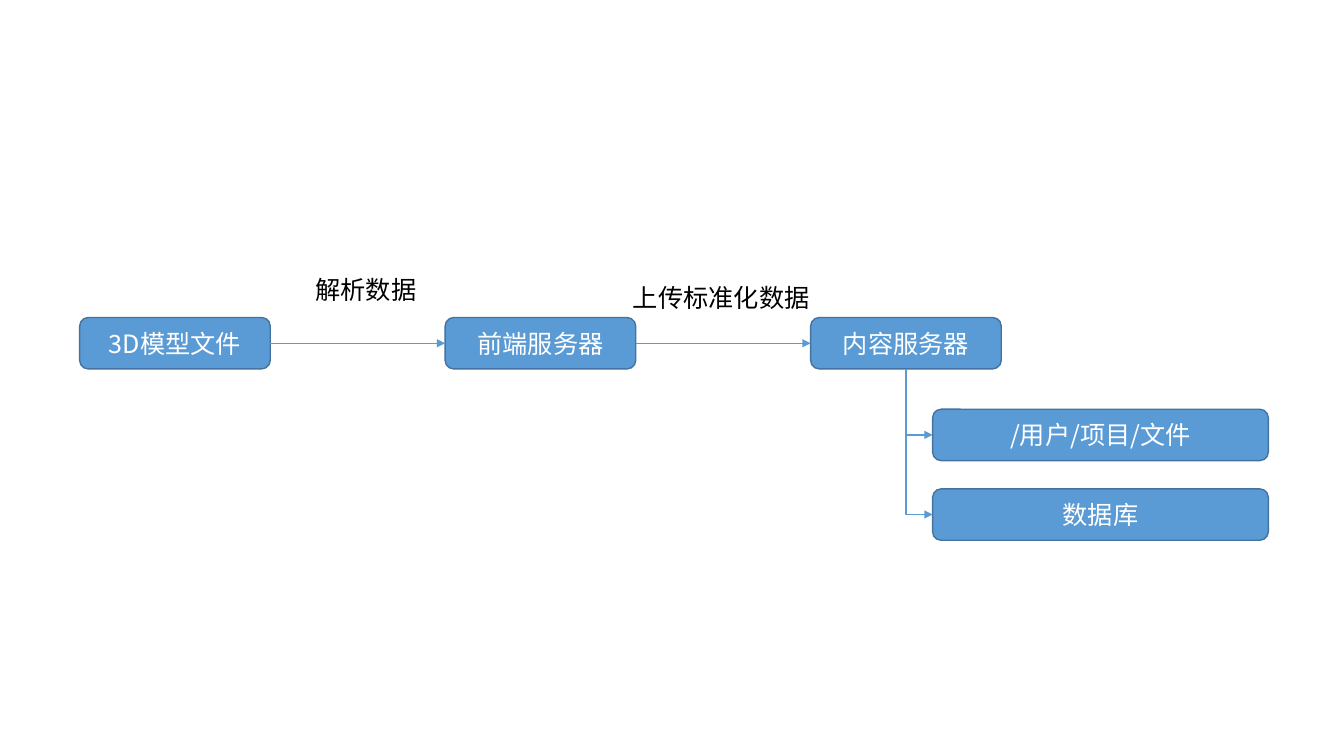
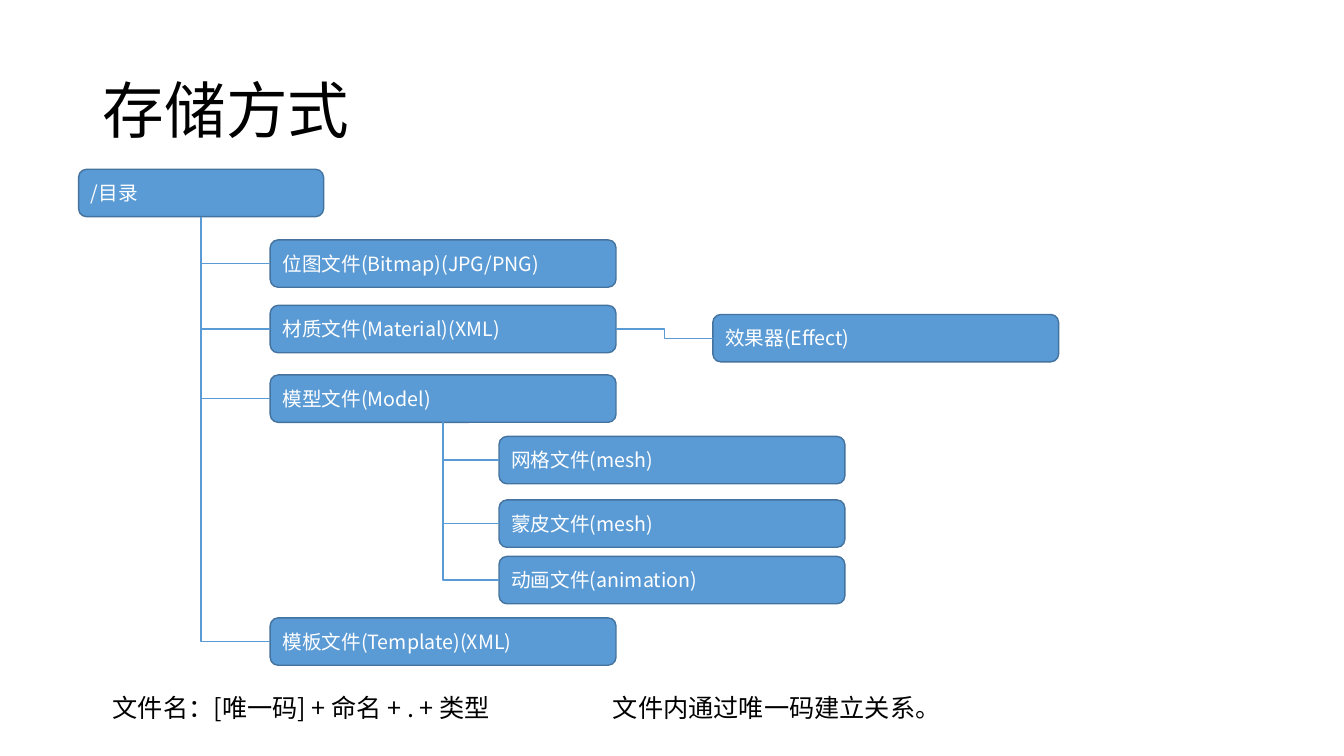
"""Two slides: a model upload flow and the storage layout behind it."""
from lxml import etree
from pptx import Presentation
from pptx.dml.color import RGBColor
from pptx.enum.shapes import MSO_CONNECTOR, MSO_SHAPE
from pptx.enum.text import MSO_ANCHOR, MSO_AUTO_SIZE, PP_ALIGN
from pptx.oxml.ns import qn
from pptx.util import Inches, Pt

STRAIGHT, ELBOW = MSO_CONNECTOR.STRAIGHT, MSO_CONNECTOR.ELBOW
ROUNDED = MSO_SHAPE.ROUNDED_RECTANGLE
LEFT, CENTER = PP_ALIGN.LEFT, PP_ALIGN.CENTER
MIDDLE = MSO_ANCHOR.MIDDLE
NO_FIT, GROW = MSO_AUTO_SIZE.NONE, MSO_AUTO_SIZE.SHAPE_TO_FIT_TEXT

COLORS = {"box": "5B9BD5", "edge": "43739E", "link": "5B9BD5",
          "light": "FFFFFF", "dark": "000000"}
FONT = "Noto Sans CJK SC"
SLIDE_W, SLIDE_H = 13.33, 7.5
TITLE_ONLY, BLANK = 5, 6
SITE_LEFT, SITE_BOTTOM, SITE_RIGHT = 1, 2, 3

# Upload flow grid
FLOW_X, FLOW_Y, FLOW_STEP, FLOW_W, FLOW_H = 0.79, 3.15, 3.625, 1.89, 0.51
STORE_X, STORE_Y, STORE_STEP, STORE_W = 9.25, 4.06, 0.79, 3.33

# Storage tree grid: one column per level
TREE_COLUMNS = (0.78, 2.68, 4.95, 7.07)
ROOT_W, NODE_W, NODE_H = 2.43, 3.43, 0.47
NOTE_Y, NOTE_H = 6.82, 0.4


def rgb(name):
    """Look up a palette colour."""
    return RGBColor.from_string(COLORS[name])


def write(tf, text, size, color, align=LEFT):
    """Put one formatted paragraph into a text frame."""
    p = tf.paragraphs[0]
    p.text = text
    p.alignment = align
    p.font.size = Pt(size)
    p.font.color.rgb = rgb(color)
    p.font.name = FONT
    latin = p._p.pPr.find(qn("a:defRPr")).find(qn("a:latin"))
    east_asian = etree.Element(qn("a:ea"), typeface=FONT)
    latin.addnext(east_asian)
    return p


def add_box(slide, text, x, y, w, h, size, align=LEFT):
    """Add a rounded, filled box with its label."""
    sp = slide.shapes.add_shape(ROUNDED, Inches(x), Inches(y), Inches(w), Inches(h))
    sp.shadow.inherit = False
    sp.fill.solid()
    sp.fill.fore_color.rgb = rgb("box")
    sp.line.color.rgb = rgb("edge")
    sp.line.width = Pt(1)
    sp.text_frame.vertical_anchor = MIDDLE
    write(sp.text_frame, text, size, "light", align)
    return sp


def add_label(slide, text, x, y, w, wrap=False):
    """Add a plain text label."""
    sp = slide.shapes.add_textbox(Inches(x), Inches(y), Inches(w), Inches(NOTE_H))
    sp.text_frame.word_wrap = wrap
    sp.text_frame.auto_size = GROW
    write(sp.text_frame, text, 18, "dark")


def add_title(slide, text):
    """Fill and place the title placeholder."""
    sp = slide.shapes.title
    sp.left, sp.top = Inches(0.92), Inches(0.4)
    sp.width, sp.height = Inches(11.5), Inches(1.45)
    sp.text_frame.vertical_anchor = MIDDLE
    sp.text_frame.auto_size = NO_FIT
    write(sp.text_frame, text, 44, "dark").line_spacing = 0.9


def connect(slide, kind, source, site, target, arrow=False):
    """Glue a connector from a site of source to the left of target."""
    c = slide.shapes.add_connector(kind, 0, 0, 0, 0)
    c.begin_connect(source, site)
    c.end_connect(target, SITE_LEFT)
    c.line.color.rgb = rgb("link")
    c.line.width = Pt(1)
    if arrow:
        etree.SubElement(c.line._get_or_add_ln(), qn("a:tailEnd"), type="triangle")
    etree.SubElement(c._element.spPr, qn("a:effectLst"))
    return c


def add_branch(slide, parent, child, arrow=False):
    """Run a one-bend connector down from parent and right into child."""
    c = connect(slide, ELBOW, parent, SITE_BOTTOM, child, arrow)
    x, y, dx, dy = c.begin_x, c.begin_y, c.width, c.height
    c.left, c.top = x + (dx - dy) // 2, y + (dy - dx) // 2
    c.width, c.height = dy, dx
    spPr = c._element.spPr
    xfrm = spPr.find(qn("a:xfrm"))
    xfrm.set("rot", "16200000")
    xfrm.set("flipH", "1")
    spPr.find(qn("a:prstGeom")).set("prst", "bentConnector2")


def build_flow(prs):
    """Build the upload flow slide."""
    slide = prs.slides.add_slide(prs.slide_layouts[BLANK])
    steps = [add_box(slide, text, FLOW_X + i * FLOW_STEP, FLOW_Y, FLOW_W, FLOW_H, 18, CENTER)
             for i, text in enumerate(("3D模型文件", "前端服务器", "内容服务器"))]
    for source, target in zip(steps, steps[1:]):
        connect(slide, STRAIGHT, source, SITE_RIGHT, target, arrow=True)
    add_label(slide, "解析数据", 3.03, 2.67, 1.21)
    add_label(slide, "上传标准化数据", 6.18, 2.75, 1.97)
    for i, text in enumerate(("/用户/项目/文件", "数据库")):
        store = add_box(slide, text, STORE_X, STORE_Y + i * STORE_STEP,
                        STORE_W, FLOW_H, 18, CENTER)
        add_branch(slide, steps[-1], store, arrow=True)


def add_node(slide, text, level, y, w=NODE_W):
    """Add a tree node in the column of its level."""
    return add_box(slide, text, TREE_COLUMNS[level], y, w, NODE_H, 14)


def add_children(slide, parent, level, rows):
    """Add the (text, y) rows as children of parent and return them."""
    nodes = [add_node(slide, text, level, y) for text, y in rows]
    for node in nodes:
        add_branch(slide, parent, node)
    return nodes


def build_storage(prs):
    """Build the storage tree slide."""
    slide = prs.slides.add_slide(prs.slide_layouts[TITLE_ONLY])
    add_title(slide, "存储方式")
    root = add_node(slide, "/目录", 0, 1.68, ROOT_W)
    _, material, model, _ = add_children(slide, root, 1, (
        ("位图文件(Bitmap)(JPG/PNG)", 2.38),
        ("材质文件(Material)(XML)", 3.03),
        ("模型文件(Model)", 3.72),
        ("模板文件(Template)(XML)", 6.13)))
    add_children(slide, model, 2, (
        ("网格文件(mesh)", 4.33),
        ("蒙皮文件(mesh)", 4.96),
        ("动画文件(animation)", 5.52)))
    effect = add_node(slide, "效果器(Effect)", 3, 3.12)
    connect(slide, ELBOW, material, SITE_RIGHT, effect)
    add_label(slide, "文件名：[唯一码] + 命名 + . + 类型", 1.02, NOTE_Y, 4.1, wrap=True)
    add_label(slide, "文件内通过唯一码建立关系。", 5.98, NOTE_Y, 3.48, wrap=True)


def main():
    """Create and save the presentation."""
    prs = Presentation()
    prs.slide_width, prs.slide_height = Inches(SLIDE_W), Inches(SLIDE_H)
    build_flow(prs)
    build_storage(prs)
    prs.save("out.pptx")


main()
